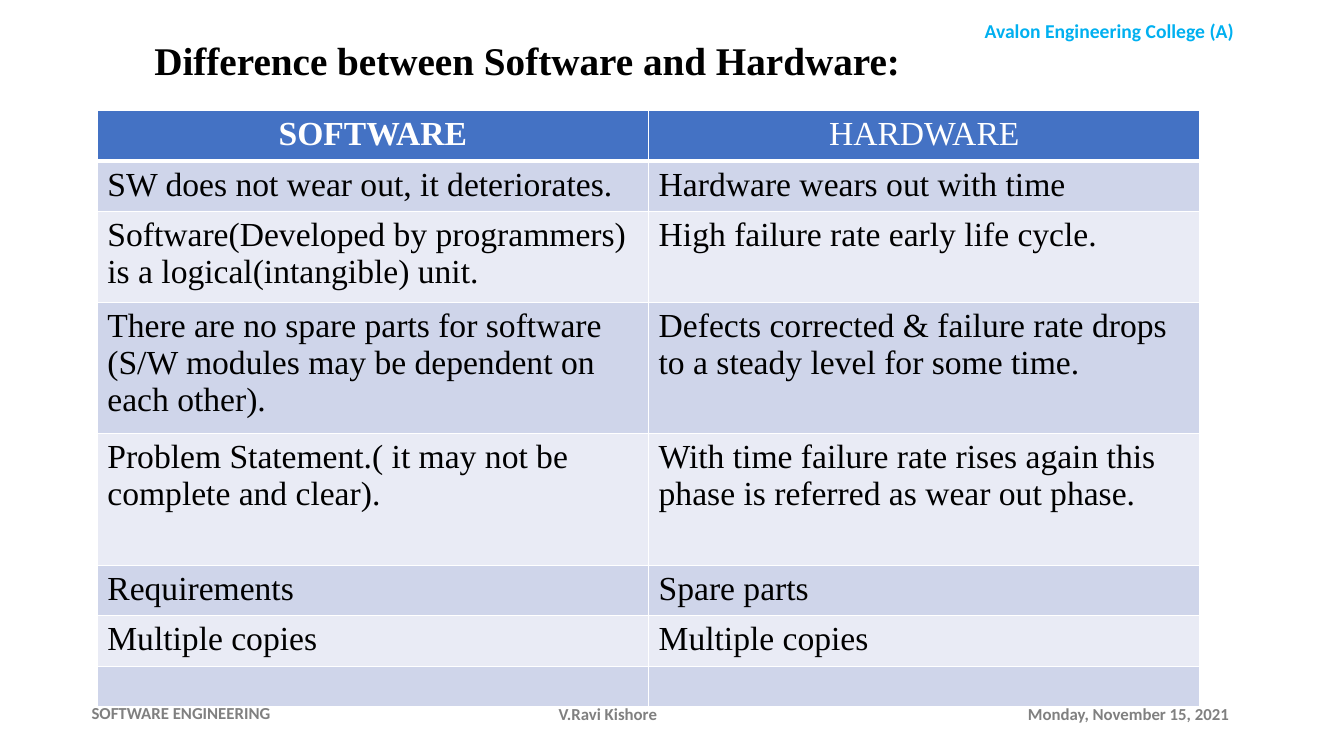
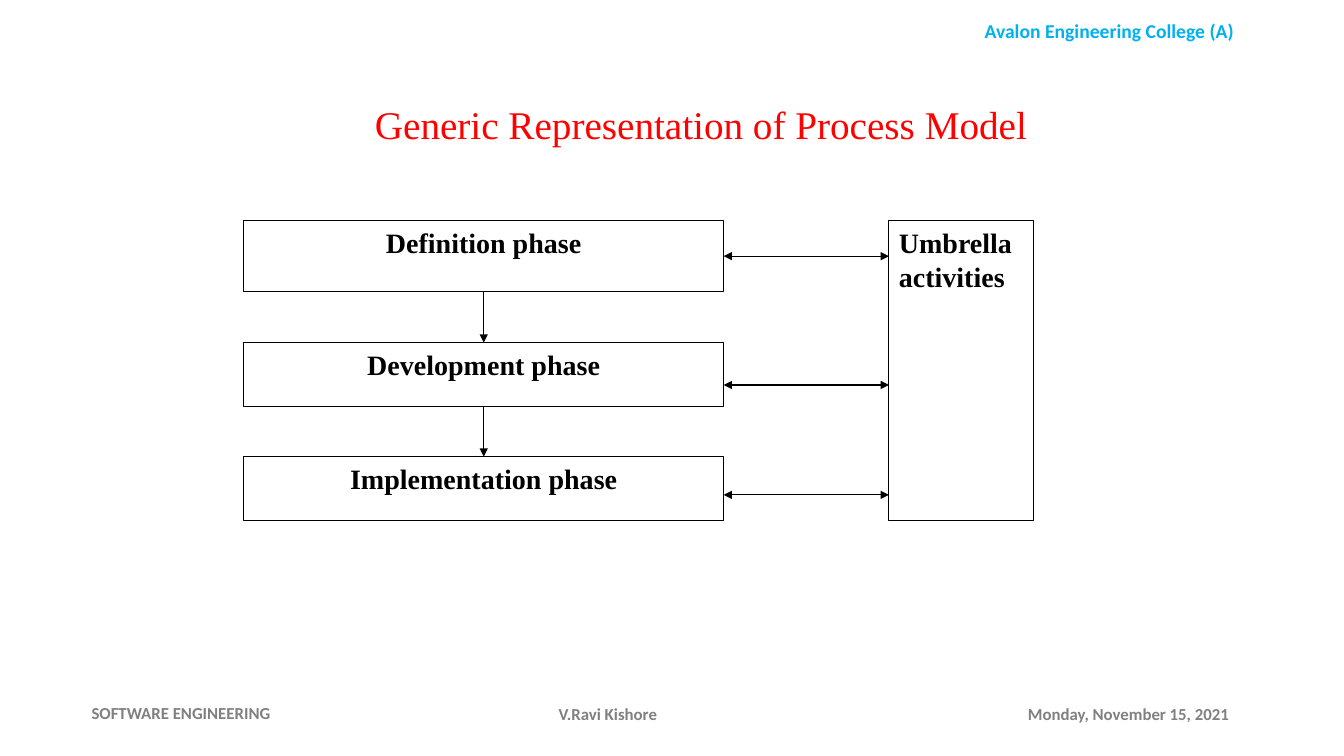
from pptx import Presentation
from pptx.dml.color import RGBColor
from pptx.enum.shapes import MSO_CONNECTOR as Connector, MSO_SHAPE as Shape
from pptx.enum.text import MSO_ANCHOR as Anchor, MSO_AUTO_SIZE as AutoSize, PP_ALIGN as Align
from pptx.oxml.ns import qn
from pptx.util import Pt
from lxml.etree import SubElement

BLACK = RGBColor(0, 0, 0)
WHITE = RGBColor(255, 255, 255)
RED = RGBColor(255, 0, 0)
SKY = RGBColor(0, 0xB0, 0xF0)
GRAY = RGBColor(0x80, 0x80, 0x80)
HEADER_BLUE = RGBColor(0x44, 0x72, 0xC4)
BANDS = [RGBColor(0xE9, 0xEB, 0xF5), RGBColor(0xCF, 0xD5, 0xEA)]

BASE = dict(name="Times New Roman", size=Pt(24), bold=False)
TITLE = BASE | dict(size=Pt(28))
PHASE = BASE | dict(size=Pt(20), bold=True)
COLLEGE = dict(name="Calibri", size=Pt(14), bold=True)
FOOTER = COLLEGE | dict(size=Pt(12))

# Shared texts: words, left, top, width, height, alignment, anchor, format, colour
SHARED = [
    ("Avalon Engineering College (A)", 654.5, 10, 275.8, 24.2, Align.CENTER, Anchor.TOP, COLLEGE, SKY),
    ("SOFTWARE ENGINEERING", 58.3, 494.6, 152, 28.8, Align.JUSTIFY, Anchor.MIDDLE, FOOTER, GRAY),
    ("Monday, November 15, 2021", 727.2, 495.4, 165.6, 28.8, Align.LEFT, Anchor.MIDDLE, FOOTER, GRAY),
    ("V.Ravi Kishore", 326.2, 495.4, 216, 28.8, Align.CENTER, Anchor.MIDDLE, FOOTER, GRAY),
]

# Titles: words, left, top, width, bold, colour
TITLES = [
    ("Difference between Software and Hardware:", 103, 22.3, 551.5, True, BLACK),
    ("Generic Representation of Process Model", 260.6, 67.7, 523.4, False, RED),
]


def write(frame, words, style, color, align=Align.LEFT, anchor=Anchor.TOP):
    frame.word_wrap = True
    frame.vertical_anchor = anchor
    para = frame.paragraphs[0]
    para.alignment = align
    span = para.add_run()
    span.text = words
    for key, value in style.items():
        setattr(span.font, key, value)
    span.font.color.rgb = color
    return para


deck = Presentation()
deck.slide_width, deck.slide_height = Pt(960), Pt(540)
pages = []

# Title, header and footers of every slide
for words, left, top, width, bold, color in TITLES:
    page = deck.slides.add_slide(deck.slide_layouts[5])
    pages.append(page)
    page.background.fill.solid()
    page.background.fill.fore_color.rgb = WHITE
    title = page.shapes.title
    title.left, title.top, title.width, title.height = Pt(left), Pt(top), Pt(width), Pt(41)
    title.text_frame.auto_size = AutoSize.NONE
    write(title.text_frame, words, TITLE | dict(bold=bold), color)
    for label, left, top, width, height, align, anchor, style, tint in SHARED:
        box = page.shapes.add_textbox(Pt(left), Pt(top), Pt(width), Pt(height))
        write(box.text_frame, label, style, tint, align, anchor)

# Slide 1: comparison table
comparison_page, model_page = pages
COMPARISON = [
    (36, "SOFTWARE", "HARDWARE"),
    (36, "SW does not wear out, it deteriorates.", "Hardware wears out with time"),
    (64.3, "Software(Developed by programmers) is a logical(intangible) unit.",
     "High failure rate early life cycle."),
    (94, "There are no spare parts for software (S/W modules may be dependent on each other).",
     "Defects corrected & failure rate drops to a steady level for some time."),
    (94, "Problem Statement.( it may not be complete and clear).",
     "With time failure rate rises again this phase is referred as wear out phase."),
    (36, "Requirements", "Spare parts"),
    (36, "Multiple copies", "Multiple copies"),
    (29, "", ""),
]
total_height = sum(row[0] for row in COMPARISON)
table = comparison_page.shapes.add_table(
    len(COMPARISON), 2, Pt(69.5), Pt(79), Pt(787.6), Pt(total_height)).table
for row, (height, *texts) in enumerate(COMPARISON):
    table.rows[row].height = Pt(height)
    for column, words in enumerate(texts):
        cell = table.cell(row, column)
        is_header = row == 0
        if words:
            write(cell.text_frame, words, BASE | dict(bold=is_header and column == 0),
                  WHITE if is_header else BLACK, Align.CENTER if is_header else Align.LEFT)
        # White cell borders, thicker under the header
        properties = cell._tc.get_or_add_tcPr()
        for side in ("lnL", "lnR", "lnT", "lnB"):
            thick = (row, side) in ((0, "lnB"), (1, "lnT"))
            border = SubElement(properties, qn("a:" + side), w=str(Pt(3 if thick else 1)))
            fill = SubElement(border, qn("a:solidFill"))
            SubElement(fill, qn("a:srgbClr"), val=str(WHITE))
        cell.fill.solid()
        cell.fill.fore_color.rgb = HEADER_BLUE if is_header else BANDS[row % 2]

# Slide 2: process boxes
PHASE_LEFT, PHASE_WIDTH = 174.2, 342.7
PHASE_RIGHT, PHASE_MIDDLE = PHASE_LEFT + PHASE_WIDTH, PHASE_LEFT + PHASE_WIDTH / 2
UMBRELLA_LEFT = 635
PHASES = [
    ("Definition phase", 157.5, 50.7),
    ("Development phase", 244.8, 45.7),
    ("Implementation phase", 326.2, 45.7),
]
boxes = [(words, PHASE_LEFT, top, PHASE_WIDTH, height, Align.CENTER) for words, top, height in PHASES]
boxes.append(("Umbrella activities", UMBRELLA_LEFT, 157.5, 103, 214.4, Align.LEFT))
for words, left, top, width, height, align in boxes:
    box = model_page.shapes.add_shape(Shape.RECTANGLE, Pt(left), Pt(top), Pt(width), Pt(height))
    box.shadow.inherit = False
    box.fill.solid()
    box.fill.fore_color.rgb = WHITE
    box.line.color.rgb = BLACK
    box.line.width = Pt(0.75)
    write(box.text_frame, words, PHASE, BLACK, align).space_after = Pt(10)

# Arrows: double to the umbrella box, single from phase to phase
arrows = [(PHASE_RIGHT, y, UMBRELLA_LEFT, y, ("headEnd", "tailEnd")) for y in (183, 275, 353.5)]
for (_, top, height), (_, next_top, _) in zip(PHASES, PHASES[1:]):
    arrows.append((PHASE_MIDDLE, top + height, PHASE_MIDDLE, next_top, ("tailEnd",)))
for x1, y1, x2, y2, ends in arrows:
    arrow = model_page.shapes.add_connector(Connector.STRAIGHT, Pt(x1), Pt(y1), Pt(x2), Pt(y2))
    arrow.line.color.rgb = BLACK
    arrow.line.width = Pt(0.75)
    properties = arrow._element.spPr
    for end in ends:
        SubElement(properties.find(qn("a:ln")), qn("a:" + end), type="triangle")
    SubElement(properties, qn("a:effectLst"))

deck.save("out.pptx")
